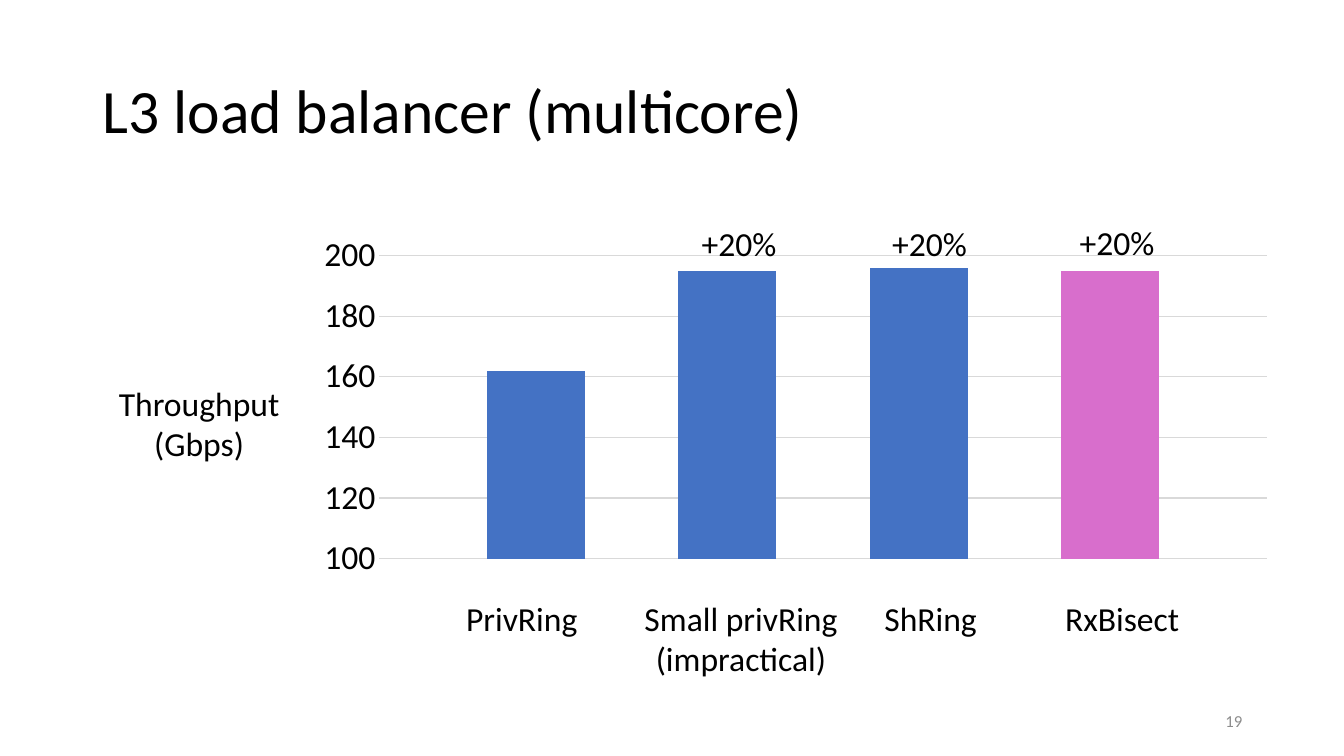
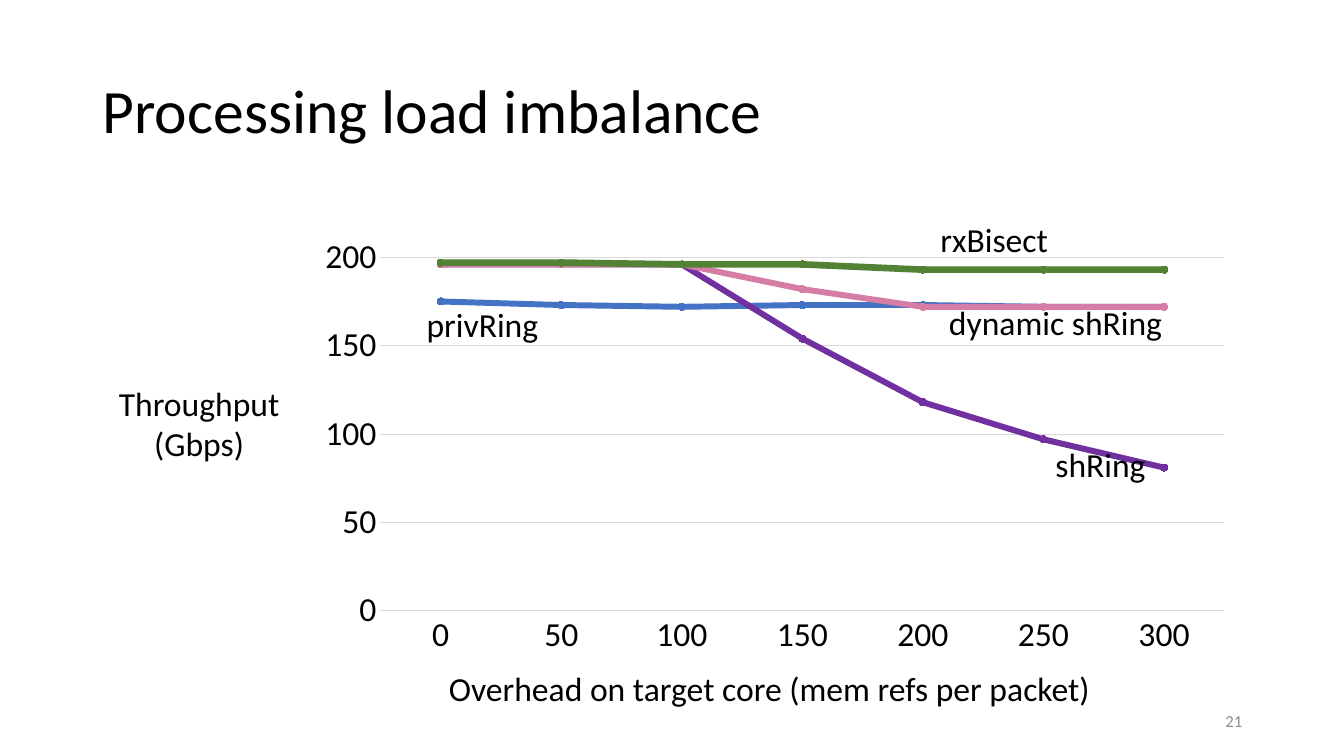
"""Build two throughput result slides with native charts."""
from dataclasses import dataclass

from lxml.etree import SubElement
from pptx import Presentation
from pptx.chart.data import CategoryChartData
from pptx.dml.color import RGBColor
from pptx.enum.chart import XL_CHART_TYPE, XL_MARKER_STYLE, XL_TICK_MARK
from pptx.enum.text import MSO_ANCHOR, PP_ALIGN
from pptx.oxml.ns import qn
from pptx.util import Inches, Pt


@dataclass(frozen=True)
class Theme:
    font: str = "Calibri"
    ink: str = "000000"
    muted: str = "8C8C8C"
    grid: str = "D9D9D9"
    blue: str = "4472C4"
    orchid: str = "D86ECC"
    purple: str = "7030A0"
    pink: str = "D57DA5"
    green: str = "548235"
    title: int = 44
    label: int = 24
    footer: int = 12
    hairline: float = 0.75


THEME = Theme()
TITLE_BOX = (0.92, 0.4, 11.73, 1.45)
NUMBER_BOX = (9.42, 6.95, 3, 0.4)
UNIT_BOX = (0.92, 3.75, 2.11, 0.91)
UNIT = "Throughput\n(Gbps)"

BALANCER = {
    "title": "L3 load balancer (multicore)",
    "number": "19",
    "kind": XL_CHART_TYPE.COLUMN_CLUSTERED,
    "box": (2.98, 2.25, 9.78, 3.58),
    "plot": (0.08, 0.08, 0.9, 0.84),
    "scale": (100, 200, 20),
    "categories": ["1"],
    "series": [
        ("PrivRing", [162], THEME.blue, 0),
        ("Small privRing", [195], THEME.blue, 0),
        ("ShRing", [196], THEME.blue, 0),
        ("RxBisect", [195], THEME.orchid, 0),
    ],
    "labels": [
        ("+20%", (6.79, 2.16, 1.08, 0.5)),
        ("+20%", (8.68, 2.16, 1.08, 0.5)),
        ("+20%", (10.54, 2.15, 1.08, 0.5)),
        ("PrivRing", (4.43, 5.88, 1.49, 0.5)),
        ("Small privRing\n(impractical)", (6.11, 5.88, 2.48, 0.91)),
        ("ShRing", (8.59, 5.88, 1.28, 0.5)),
        ("RxBisect", (10.46, 5.88, 1.34, 0.5)),
    ],
}

IMBALANCE = {
    "title": "Processing load imbalance",
    "number": "21",
    "kind": XL_CHART_TYPE.LINE_MARKERS,
    "box": (3.03, 2.25, 9.3, 4.33),
    "plot": (0.08, 0.07, 0.9, 0.81),
    "scale": (0, 200, 50),
    "categories": [str(overhead) for overhead in range(0, 301, 50)],
    "series": [
        ("privRing", [175, 173, 172, 173, 173, 172, 172], THEME.blue, 4.25),
        ("shRing", [196, 196, 196, 154, 118, 97, 81], THEME.purple, 4.25),
        ("dynamic shRing", [196, 196, 196, 182, 172, 172, 172], THEME.pink, 4.25),
        ("rxBisect", [197, 197, 196, 196, 193, 193, 193], THEME.green, 4.75),
    ],
    "labels": [
        ("privRing", (3.5, 2.97, 2.57, 0.5)),
        ("shRing", (9.63, 4.35, 2.57, 0.5)),
        ("dynamic shRing", (9.15, 2.95, 2.64, 0.5)),
        ("rxBisect", (8.54, 2.12, 2.64, 0.5)),
        ("Overhead on target core (mem refs per packet)", (4.34, 6.58, 6.58, 0.5)),
    ],
}


def rgb(color):
    return RGBColor.from_string(color)


def style_font(font, size, color=THEME.ink):
    font.name, font.size, font.color.rgb = THEME.font, Pt(size), rgb(color)


def add_text(slide, text, box, size=THEME.label, color=THEME.ink,
             align=PP_ALIGN.CENTER, anchor=MSO_ANCHOR.TOP, spacing=None):
    frame = slide.shapes.add_textbox(*map(Inches, box)).text_frame
    frame.word_wrap = True
    frame.vertical_anchor = anchor
    frame.text = text
    for paragraph in frame.paragraphs:
        paragraph.alignment = align
        paragraph.line_spacing = spacing
        for run in paragraph.runs:
            style_font(run.font, size, color)


def set_line(line, color, width):
    line.color.rgb, line.width = rgb(color), Pt(width)


def place_plot(chart, plot):
    area = chart._chartSpace.find(".//" + qn("c:plotArea"))
    for old in area.findall(qn("c:layout")):
        area.remove(old)
    layout = SubElement(area, qn("c:layout"))
    area.insert(0, layout)
    manual = SubElement(layout, qn("c:manualLayout"))
    settings = [("layoutTarget", "inner"), ("xMode", "edge"), ("yMode", "edge")]
    for tag, value in settings + list(zip("xywh", plot)):
        SubElement(manual, qn("c:" + tag)).set("val", str(value))


def style_axes(chart, scale):
    values, categories = chart.value_axis, chart.category_axis
    values.minimum_scale, values.maximum_scale, values.major_unit = scale
    values.has_major_gridlines = True
    set_line(values.major_gridlines.format.line, THEME.grid, THEME.hairline)
    values.format.line.fill.background()
    set_line(categories.format.line, THEME.grid, THEME.hairline)
    for axis in (values, categories):
        axis.major_tick_mark = axis.minor_tick_mark = XL_TICK_MARK.NONE
        style_font(axis.tick_labels.font, THEME.label)


def add_throughput_chart(slide, content):
    data = CategoryChartData()
    data.categories = content["categories"]
    for name, values, _, _ in content["series"]:
        data.add_series(name, values)
    chart = slide.shapes.add_chart(
        content["kind"], *map(Inches, content["box"]), data).chart
    chart.has_legend = chart.has_title = False
    style_font(chart.font, THEME.label)
    style_axes(chart, content["scale"])
    place_plot(chart, content["plot"])
    plot = chart.plots[0]
    plot.vary_by_categories = False
    columns = content["kind"] == XL_CHART_TYPE.COLUMN_CLUSTERED
    if columns:
        chart.category_axis.visible = False
        plot.gap_width, plot.overlap = 219, -95
    for series, (_, _, color, width) in zip(plot.series, content["series"]):
        if columns:
            series.format.fill.solid()
            series.format.fill.fore_color.rgb = rgb(color)
        else:
            series.smooth = False
            set_line(series.format.line, color, width)
            series.marker.style, series.marker.size = XL_MARKER_STYLE.CIRCLE, 5
            series.marker.format.fill.solid()
            series.marker.format.fill.fore_color.rgb = rgb(color)
            set_line(series.marker.format.line, color, THEME.hairline)


def build_slide(deck, content):
    slide = deck.slides.add_slide(deck.slide_layouts[6])
    add_throughput_chart(slide, content)
    add_text(slide, content["title"], TITLE_BOX, THEME.title,
             align=PP_ALIGN.LEFT, anchor=MSO_ANCHOR.MIDDLE, spacing=0.9)
    add_text(slide, content["number"], NUMBER_BOX, THEME.footer, THEME.muted,
             PP_ALIGN.RIGHT, MSO_ANCHOR.MIDDLE)
    for text, box in [(UNIT, UNIT_BOX)] + content["labels"]:
        add_text(slide, text, box)


def main():
    deck = Presentation()
    deck.slide_width, deck.slide_height = Inches(13.33), Inches(7.5)
    for content in (BALANCER, IMBALANCE):
        build_slide(deck, content)
    deck.save("out.pptx")


if __name__ == "__main__":
    main()
